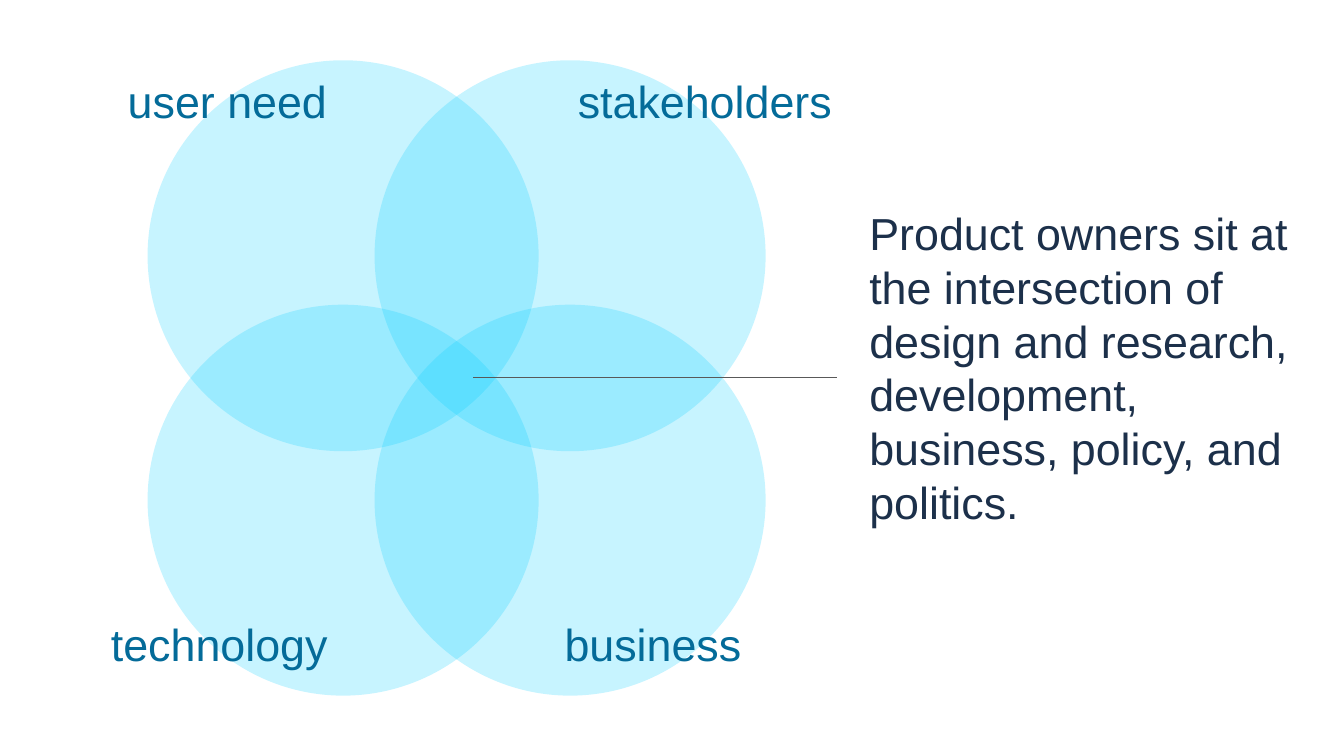
from itertools import product

from lxml.etree import SubElement
from pptx import Presentation
from pptx.dml.color import RGBColor
from pptx.enum.shapes import MSO_CONNECTOR as Line, MSO_SHAPE as Shape
from pptx.enum.text import MSO_ANCHOR as Anchor, PP_ALIGN as Align
from pptx.oxml.ns import qn
from pptx.util import Cm, Pt

LEFT, TOP = 2.79, 1.14
SIZE = 7.39
STEP_X, STEP_Y = 4.29, 4.62
PAD = Cm(0.25)


def color(code):
    return RGBColor.from_string(code)


def add_text(slide, text, x, y, w, h, hue="046B99", align=Align.LEFT):
    box = slide.shapes.add_textbox(Cm(x), Cm(y), Cm(w), Cm(h))
    frame = box.text_frame
    frame.word_wrap = True
    frame.vertical_anchor = Anchor.TOP
    frame.margin_left = frame.margin_right = PAD
    frame.margin_top = frame.margin_bottom = PAD
    para = frame.paragraphs[0]
    para.alignment = align
    para.line_spacing = Pt(28.8)
    run = para.add_run()
    run.text = text
    run.font.name = "Arial"
    run.font.size = Pt(24)
    run.font.color.rgb = color(hue)


def add_circle(slide, x, y, hue="00CFFF", alpha=22):
    disc = slide.shapes.add_shape(Shape.OVAL, Cm(x), Cm(y), Cm(SIZE), Cm(SIZE))
    disc.shadow.inherit = False
    disc.line.fill.background()
    disc.fill.solid()
    disc.fill.fore_color.rgb = color(hue)
    # Transparency
    tint = disc.fill._xPr.find(qn("a:solidFill"))[0]
    SubElement(tint, qn("a:alpha"), val=str(alpha * 1000))


def add_line(slide, x1, x2, y, hue="595959"):
    rule = slide.shapes.add_connector(Line.STRAIGHT, Cm(x1), Cm(y), Cm(x2), Cm(y))
    rule.line.color.rgb = color(hue)
    rule.line.width = Pt(0.75)
    SubElement(rule._element.spPr, qn("a:effectLst"))


def main():
    deck = Presentation()
    deck.slide_width, deck.slide_height = Cm(25.4), Cm(14.29)
    slide = deck.slides.add_slide(deck.slide_layouts[6])

    # Four overlapping circles
    for row, col in product(range(2), repeat=2):
        add_circle(slide, LEFT + col * STEP_X, TOP + row * STEP_Y)

    # Pointer from the shared centre to the statement
    add_line(slide, 8.94, 15.82, 7.14)
    add_text(
        slide,
        "Product owners sit at the intersection of design and research, "
        "development, business, policy, and politics.",
        16.18, 3.64, 8.81, 9.17, hue="1C304A",
    )

    # Circle labels
    labels = [
        ("user need", 1.88, 1.14, 4.55, Align.RIGHT),
        ("stakeholders", 10.67, 1.14, 5.41, Align.LEFT),
        ("technology", 1.24, 11.4, 5.2, Align.RIGHT),
        ("business", 10.42, 11.4, 4.55, Align.LEFT),
    ]
    for text, x, y, w, align in labels:
        add_text(slide, text, x, y, w, 1.75, align=align)

    deck.save("out.pptx")


if __name__ == "__main__":
    main()
